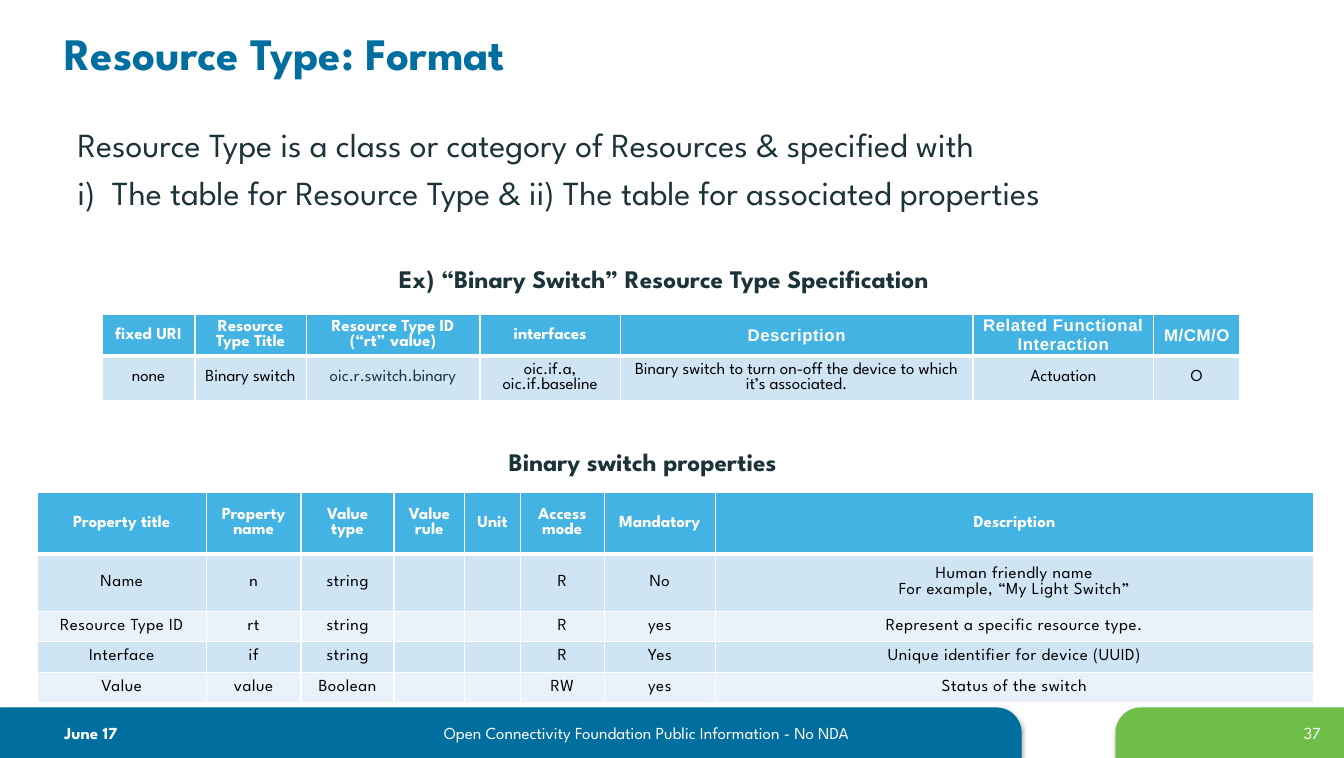
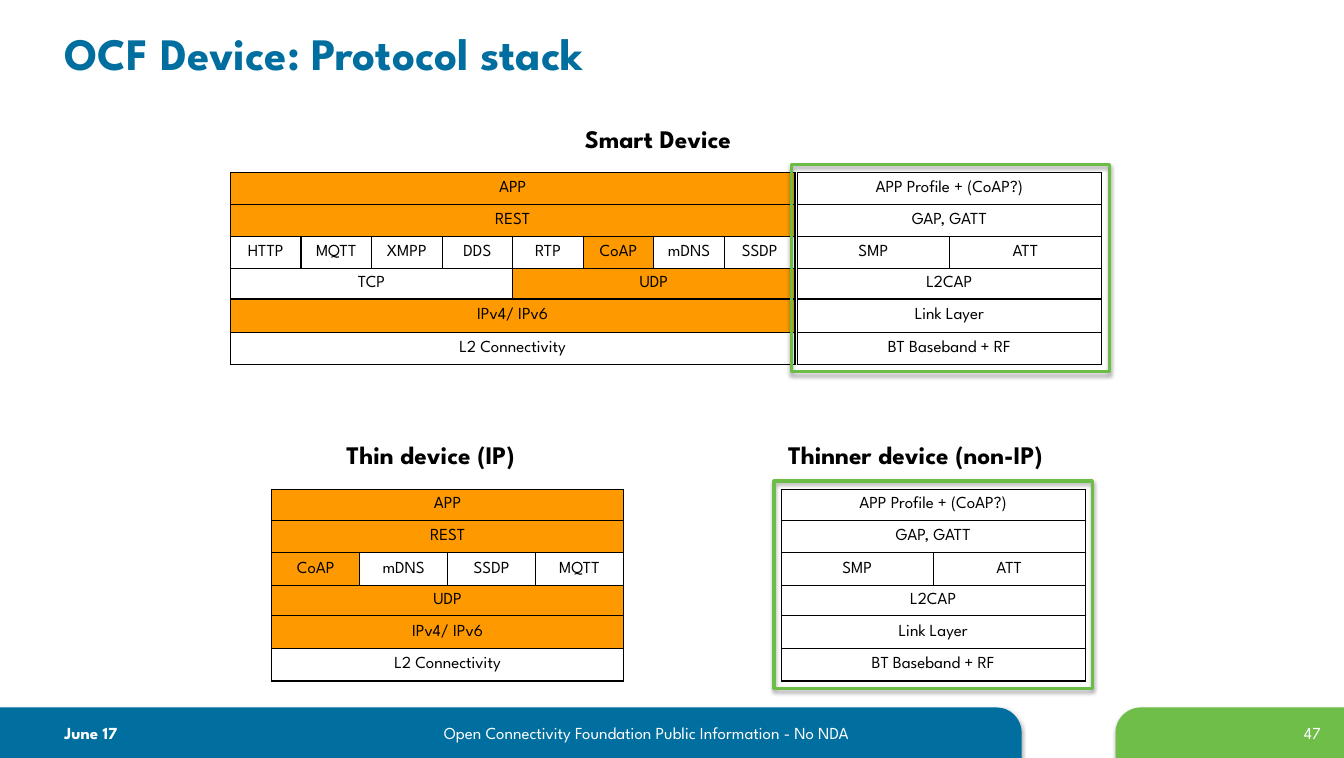
import pptx
import pptx.dml.color
import pptx.enum.shapes
import pptx.enum.text
import pptx.oxml
import pptx.oxml.ns
import pptx.util
from pptx.util import Inches

COLORS = {
    "blue": "006E9F", "green": "6EBE49", "frame": "6BBD45", "ink": "1C3339",
    "white": "FFFFFF", "black": "000000", "header": "43B3E3",
    "band": "CFE5F4", "pale": "E9F2FA", "orange": "FF9900",
}
RGB = {name: pptx.dml.color.RGBColor.from_string(value) for name, value in COLORS.items()}
ALIGN = pptx.enum.text.PP_ALIGN
ANCHOR = pptx.enum.text.MSO_ANCHOR
SHAPE = pptx.enum.shapes.MSO_SHAPE
SPARTAN = {"name": "League Spartan", "size": pptx.util.Pt(12), "bold": False}
BOLD = {**SPARTAN, "bold": True}
TITLE = {**BOLD, "size": pptx.util.Pt(32)}
BODY = {**SPARTAN, "size": pptx.util.Pt(24)}
CAPTION = {**BOLD, "size": pptx.util.Pt(18)}
ARIAL = {**BOLD, "name": "Arial"}


def write(frame, text, style, color, align=ALIGN.LEFT, spacing=1.2, tracking=0):
    """Fill a text frame; spacing is the line pitch in font sizes."""
    frame.word_wrap = True
    frame.text = text
    for index, paragraph in enumerate(frame.paragraphs):
        paragraph.alignment = align
        paragraph.line_spacing = pptx.util.Pt(style["size"].pt * spacing)
        if index:
            paragraph.space_before = pptx.util.Pt(style["size"].pt * 0.2)
        for run in paragraph.runs:
            for attribute, value in style.items():
                setattr(run.font, attribute, value)
            run.font.color.rgb = RGB[color]
            if tracking:
                run.font._element.set("spc", str(tracking))


def add_grid(slide, left, top, widths, heights, rows, line, cell_format):
    """Add a table; a row with fewer cells than columns spreads them evenly."""
    table = slide.shapes.add_table(
        len(heights), len(widths), Inches(left), Inches(top),
        Inches(sum(widths)), Inches(sum(heights))).table
    table.first_row = table.horz_banding = False
    for column, width in zip(table.columns, widths):
        column.width = Inches(width)
    for row, height in zip(table.rows, heights):
        row.height = Inches(height)
    for row_index, texts in enumerate(rows):
        span = len(widths) // len(texts)
        for column_index in range(len(widths)):
            cell = table.cell(row_index, column_index)
            text = texts[column_index // span]
            fill, color, style, tracking, margin = cell_format(row_index, text)
            properties = cell._tc.get_or_add_tcPr()
            for side in "LRTB":
                # A heavier rule divides a white-ruled header from its data
                heavy = line == "white" and (row_index, side) in ((0, "B"), (1, "T"))
                properties.append(pptx.oxml.parse_xml(
                    f'<a:ln{side} {pptx.oxml.ns.nsdecls("a")} w="{38100 if heavy else 12700}">'
                    f'<a:solidFill><a:srgbClr val="{COLORS[line]}"/></a:solidFill></a:ln{side}>'))
            cell.fill.solid()
            cell.fill.fore_color.rgb = RGB[fill]
            cell.vertical_anchor = ANCHOR.MIDDLE
            cell.margin_top = cell.margin_bottom = 0
            cell.margin_left = cell.margin_right = Inches(margin)
            if column_index % span == 0:
                if span > 1:
                    cell.merge(table.cell(row_index, column_index + span - 1))
                pitch = 1.15 if style is ARIAL else 0.92
                write(cell.text_frame, text, style, color, ALIGN.CENTER, pitch, tracking)


presentation = pptx.Presentation()
presentation.slide_width = Inches(13.3)
presentation.slide_height = Inches(7.5)
slides = []
shadowed = []

# Title, bands and footer of both slides
for title, number in (("Resource Type: Format", "37"), ("OCF Device: Protocol stack", "47")):
    slide = presentation.slides.add_slide(presentation.slide_layouts[6])
    slides.append(slide)
    for left, width, color in ((0, 10.11, "blue"), (11.04, 2.26, "green")):
        band = slide.shapes.add_shape(
            SHAPE.ROUND_1_RECTANGLE, Inches(left), Inches(7), Inches(width), Inches(0.5))
        band.adjustments[0] = 0.5
        band.fill.solid()
        band.fill.fore_color.rgb = RGB[color]
        band.line.fill.background()
        if color == "green":
            band._element.spPr.xfrm.set("flipH", "1")
        shadowed.append((band, 35))
    for left, top, width, height, text, style, color, align in (
        (0.54, 0.12, 11.26, 0.79, title, TITLE, "blue", ALIGN.LEFT),
        (0.54, 7.1, 2.54, 0.29, "June 17", BOLD, "white", ALIGN.LEFT),
        (3.27, 7.1, 6.26, 0.29, "Open Connectivity Foundation Public Information - No NDA",
         SPARTAN, "white", ALIGN.CENTER),
        (11.83, 7.1, 1.34, 0.29, number, SPARTAN, "white", ALIGN.RIGHT),
    ):
        box = slide.shapes.add_textbox(Inches(left), Inches(top), Inches(width), Inches(height))
        write(box.text_frame, text, style, color, align)
        if style is TITLE:
            box.text_frame.vertical_anchor = ANCHOR.MIDDLE
format_slide, stack_slide = slides

# Resource type: introduction
introduction = format_slide.shapes.add_textbox(
    Inches(0.67), Inches(1.18), Inches(11.97), Inches(1.21))
write(introduction.text_frame,
      "Resource Type is a class or category of Resources & specified with\n"
      "i)\tThe table for Resource Type & ii) The table for associated properties",
      BODY, "ink")
for paragraph in introduction.text_frame.paragraphs:
    # The tab after "i)" runs to the hanging indent
    indent = paragraph._p.get_or_add_pPr()
    indent.set("marL", str(Inches(0.34)))
    indent.set("indent", str(-Inches(0.34)))

# Captions of both slides
for slide, left, top, width, text, color, align in (
    (format_slide, 2.93, 2.56, 7.28, "Ex) “Binary Switch” Resource Type Specification",
     "ink", ALIGN.CENTER),
    (format_slide, 1.22, 4.37, 10.28, "Binary switch properties", "ink", ALIGN.CENTER),
    (stack_slide, 5.69, 1.17, 1.83, "Smart Device", "black", ALIGN.LEFT),
    (stack_slide, 3.33, 4.3, 2.08, "Thin device (IP)", "black", ALIGN.LEFT),
    (stack_slide, 7.7, 4.3, 3.05, "Thinner device (non-IP)", "black", ALIGN.LEFT),
):
    box = slide.shapes.add_textbox(Inches(left), Inches(top), Inches(width), Inches(0.4))
    write(box.text_frame, text, CAPTION, color, align)

# Resource type: specification and properties tables
ARIAL_HEADS = ("Description", "Related Functional Interaction", "M/CM/O")
specification = [
    ["fixed URI", "Resource Type Title", "Resource Type ID (“rt” value)", "interfaces",
     *ARIAL_HEADS],
    ["none", "Binary switch", "oic.r.switch.binary", "oic.if.a, oic.if.baseline",
     "Binary switch to turn on-off the device to which it’s associated.", "Actuation", "O"],
]
properties_rows = [
    ["Property title", "Property name", "Value type", "Value rule", "Unit", "Access mode",
     "Mandatory", "Description"],
    ["Name", "n", "string", "", "", "R", "No",
     "Human friendly name\vFor example, “My Light Switch”"],
    ["Resource Type ID", "rt", "string", "", "", "R", "yes",
     "Represent a specific resource type."],
    ["Interface", "if", "string", "", "", "R", "Yes", "Unique identifier for device (UUID)"],
    ["Value", "value", "Boolean", "", "", "RW", "yes", "Status of the switch"],
]
for left, top, widths, heights, rows, arial_heads, tracking in (
    (0.37, 4.87, [1.67, 0.94, 0.92, 0.7, 0.55, 0.83, 1.1, 5.92],
     [0.61, 0.57, 0.29, 0.29, 0.29], properties_rows, (), 40),
    (1.01, 3.11, [0.92, 1.1, 1.72, 1.39, 3.49, 1.79, 0.85],
     [0.41, 0.44], specification, ARIAL_HEADS, 0),
):
    add_grid(
        format_slide, left, top, widths, heights, rows, "white",
        lambda row, text: (
            ("band" if row % 2 else "pale",
             "ink" if text == "oic.r.switch.binary" else "black", SPARTAN, tracking, 0.07)
            if row else
            ("header", "white", ARIAL, 40, 0.07) if text in arial_heads else
            ("header", "white", BOLD, 0, 0.1)))

# Protocol stacks: highlighted layers are orange
HIGHLIGHTED = {"APP", "REST", "CoAP", "UDP", "IPv4/ IPv6"}
smart_stack = [
    ["APP"], ["REST"],
    ["HTTP", "MQTT", "XMPP", "DDS", "RTP", "CoAP", "mDNS", "SSDP"],
    ["TCP", "UDP"], ["IPv4/ IPv6"], ["L2 Connectivity"],
]
thin_stack = [
    ["APP"], ["REST"], ["CoAP", "mDNS", "SSDP", "MQTT"],
    ["UDP"], ["IPv4/ IPv6"], ["L2 Connectivity"],
]
thinner_stack = [
    ["APP Profile + (CoAP?)"], ["GAP, GATT"], ["SMP", "ATT"],
    ["L2CAP"], ["Link Layer"], ["BT Baseband + RF"],
]
for left, top, width, columns, rows in (
    (2.28, 1.71, 5.59, 8, smart_stack),
    (2.69, 4.84, 3.48, 4, thin_stack),
    (7.73, 4.84, 3.01, 2, thinner_stack),
    (7.89, 1.71, 3.01, 2, thinner_stack),
):
    add_grid(
        stack_slide, left, top, [width / columns] * columns,
        [0.31, 0.32, 0.32, 0.3, 0.33, 0.32], rows, "black",
        lambda row, text: (
            "orange" if text in HIGHLIGHTED else "white", "black", SPARTAN, 0, 0.07))

# Green frames around the non-IP stacks
for left, top in ((7.83, 1.63), (7.66, 4.76)):
    frame = stack_slide.shapes.add_shape(
        SHAPE.RECTANGLE, Inches(left), Inches(top), Inches(3.15), Inches(2.05))
    frame.fill.background()
    frame.line.color.rgb = RGB["frame"]
    frame.line.width = pptx.util.Pt(2.25)
    shadowed.append((frame, 38))

# Soft shadow below bands and frames
for shape, opacity in shadowed:
    shape.shadow.inherit = False
    effects = shape._element.spPr.find(pptx.oxml.ns.qn("a:effectLst"))
    effects.append(pptx.oxml.parse_xml(
        f'<a:outerShdw {pptx.oxml.ns.nsdecls("a")} blurRad="39370" dist="22860" '
        f'dir="5400000" rotWithShape="0"><a:srgbClr val="{COLORS["black"]}">'
        f'<a:alpha val="{opacity * 1000}"/></a:srgbClr></a:outerShdw>'))

presentation.save("out.pptx")
